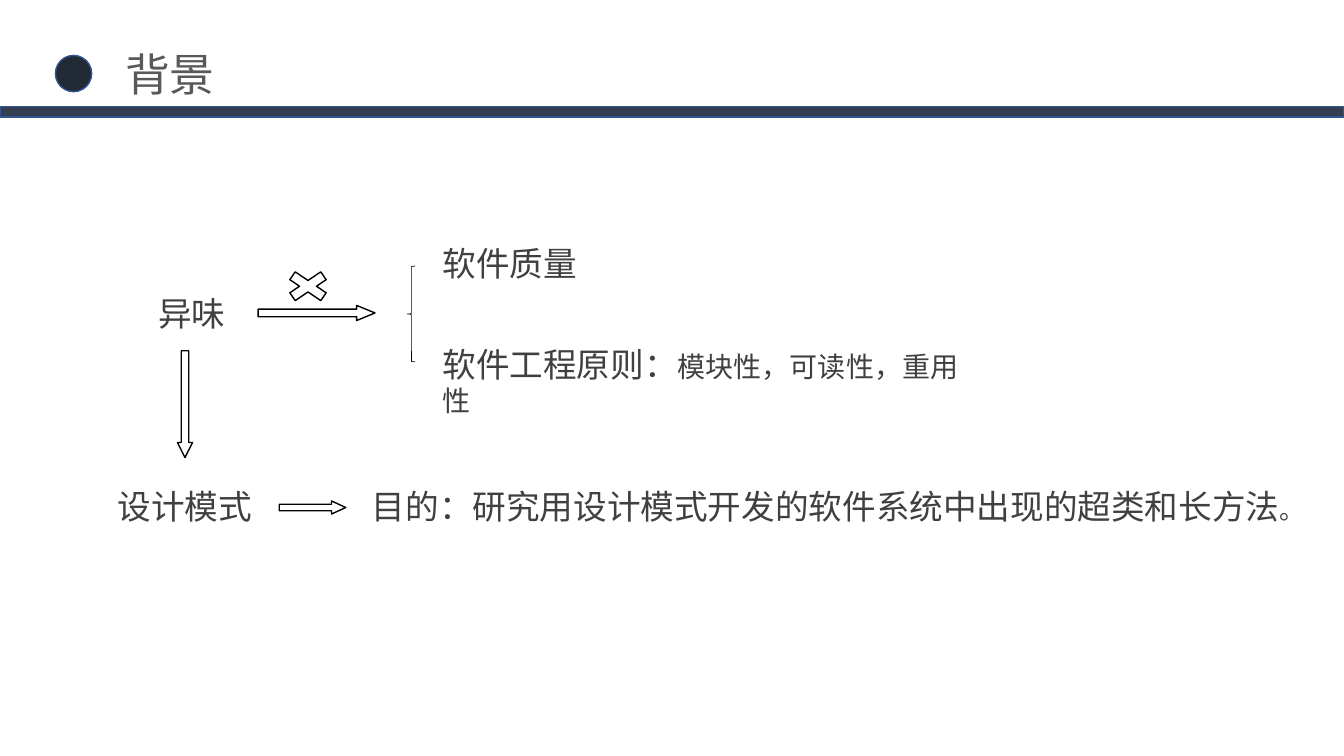
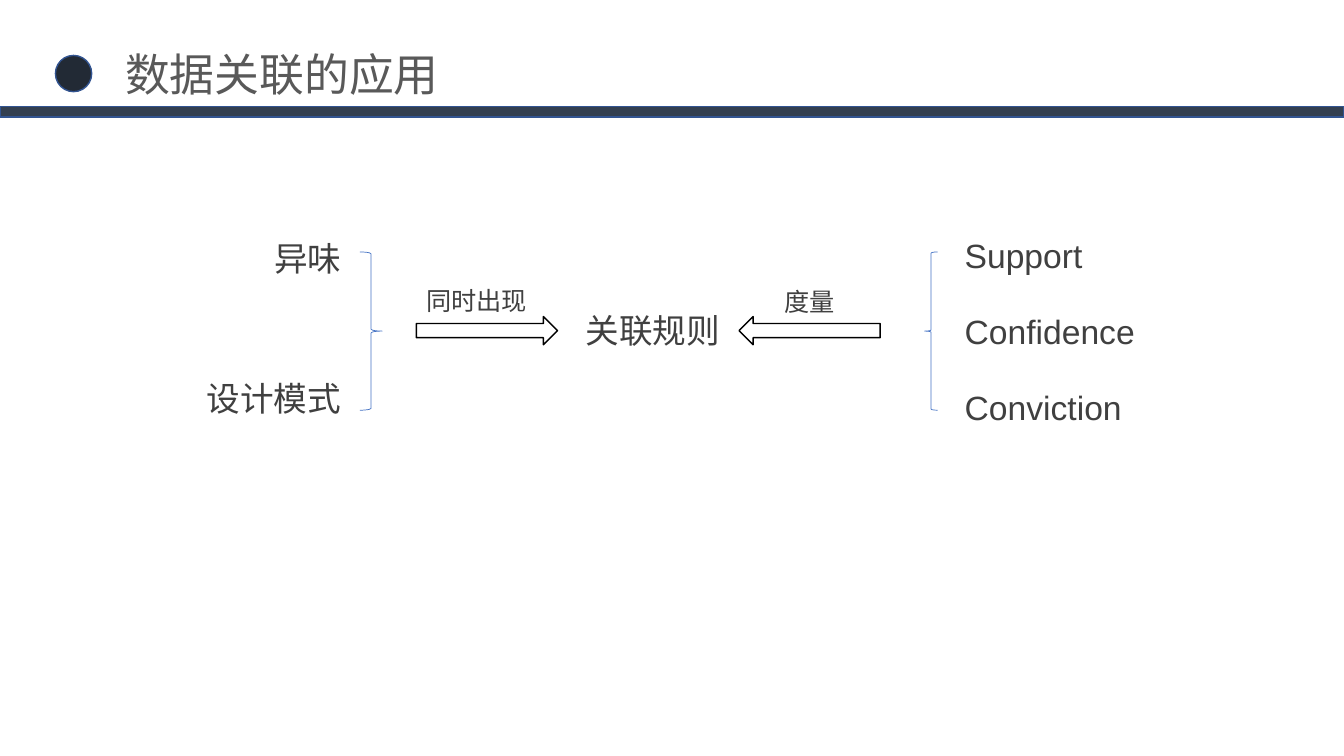
from pptx import Presentation
from pptx.dml.color import RGBColor
from pptx.enum.lang import MSO_LANGUAGE_ID as Lang
from pptx.enum.shapes import MSO_SHAPE as Kind
from pptx.enum.text import MSO_ANCHOR as Anchor, MSO_AUTO_SIZE as Fit, PP_ALIGN as Align
from pptx.oxml.ns import qn
from pptx.util import Inches, Pt
from lxml.etree import SubElement as Sub

FONT = "Arial"
WHITE, BLACK, BLUE = "FFFFFF", "000000", "4472C4"
DOT, BAND, EDGE = "222A35", "333F50", "325491"
HEAD, BODY = "595959", "404040"


def color(code):
    return RGBColor.from_string(code)


class Deck:
    """Holds the shared style and the current slide."""

    def __init__(self):
        self.file = Presentation()
        self.file.slide_width = Inches(13.33)
        self.file.slide_height = Inches(7.5)
        self.slide = None

    # Shared frame: title, dot and band
    def page(self, title):
        self.slide = self.file.slides.add_slide(self.file.slide_layouts[5])
        head = self.slide.shapes.title
        head.left, head.top = Inches(1.14), Inches(0.41)
        head.width, head.height = Inches(11), Inches(0.64)
        frame = head.text_frame
        frame.text = title
        frame.auto_size = Fit.NONE
        frame.vertical_anchor = Anchor.MIDDLE
        frame.paragraphs[0].alignment = Align.LEFT
        self.style(frame.paragraphs[0].runs[0], 32, HEAD)
        self.shape(Kind.OVAL, 0.55, 0.55, 0.36, 0.36, EDGE, fill=DOT)
        self.shape(Kind.RECTANGLE, 0, 1.06, 13.33, 0.1, EDGE, fill=BAND)

    def style(self, run, size, code=BODY):
        font = run.font
        font.size, font.name = Pt(size), FONT
        font.color.rgb = color(code)
        font.language_id = Lang.SIMPLIFIED_CHINESE
        # East Asian typeface
        Sub(font._element, qn("a:ea")).set("typeface", FONT)

    def text(self, left, top, width, words, size=24, tail=None, space=None):
        """Adds a label; tail is an optional (words, size) second run."""
        box = self.slide.shapes.add_textbox(
            Inches(left), Inches(top), Inches(width), Inches(0.5))
        frame = box.text_frame
        frame.word_wrap = True
        frame.text = words
        para = frame.paragraphs[0]
        self.style(para.runs[0], size)
        if tail:
            run = para.add_run()
            run.text = tail[0]
            self.style(run, tail[1])
        if space:
            para.line_spacing = space

    def shape(self, kind, left, top, width, height, line=BLACK, weight=1,
              fill=None, adjust=()):
        item = self.slide.shapes.add_shape(
            kind, Inches(left), Inches(top), Inches(width), Inches(height))
        item.shadow.inherit = False
        if fill:
            item.fill.solid()
            item.fill.fore_color.rgb = color(fill)
        else:
            item.fill.background()
        item.line.color.rgb = color(line)
        item.line.width = Pt(weight)
        for spot, value in enumerate(adjust):
            item.adjustments[spot] = value

    def brace(self, kind, left, top, width, height, line):
        self.shape(kind, left, top, width, height, line, weight=0.5)


def main():
    deck = Deck()

    # Slide 1: smells, quality and the goal
    deck.page("背景")
    deck.text(1.47, 2.86, 1, "异味")
    deck.text(4.29, 2.36, 1.7, "软件质量")
    deck.text(4.29, 3.36, 5.5, "软件工程原则：", tail=("模块性，可读性，重用性", 20))
    deck.shape(Kind.RIGHT_ARROW, 2.56, 3.03, 1.16, 0.15, adjust=(0.5, 1.21))
    deck.brace(Kind.LEFT_BRACE, 4.04, 2.64, 0.08, 0.95, BLACK)
    deck.shape(Kind.MATH_MULTIPLY, 2.76, 2.64, 0.59, 0.4)
    deck.text(1.07, 4.77, 1.7, "设计模式")
    deck.shape(Kind.DOWN_ARROW, 1.76, 3.48, 0.15, 1.06, adjust=(0.5, 1))
    deck.shape(Kind.RIGHT_ARROW, 2.77, 4.97, 0.66, 0.13, adjust=(0.5, 1.09))
    deck.text(3.59, 4.57, 9.6, "目的：研究用设计模式开发的软件系统中出现的超类和长方法",
              tail=("。", 18), space=1.5)

    # Slide 2: inputs, rule and measures
    deck.page("数据关联的应用")
    deck.text(2.62, 2.31, 1, "异味")
    deck.text(1.95, 3.7, 1.7, "设计模式")
    deck.text(5.71, 3.03, 1.7, "关联规则")
    for kind, left in ((Kind.RIGHT_ARROW, 4.13), (Kind.LEFT_ARROW, 7.33)):
        deck.shape(kind, left, 3.14, 1.4, 0.28, fill=WHITE)
    deck.text(4.13, 2.78, 1.4, "同时出现", size=18)
    deck.text(7.68, 2.79, 0.9, "度量", size=18)
    deck.brace(Kind.RIGHT_BRACE, 3.57, 2.5, 0.22, 1.57, BLUE)
    deck.brace(Kind.LEFT_BRACE, 9.17, 2.5, 0.13, 1.57, BLUE)
    for row, name in enumerate(("Support", "Confidence", "Conviction")):
        deck.text(9.47, 2.28 + 0.755 * row, 2.2, name)

    deck.file.save("out.pptx")


if __name__ == "__main__":
    main()
